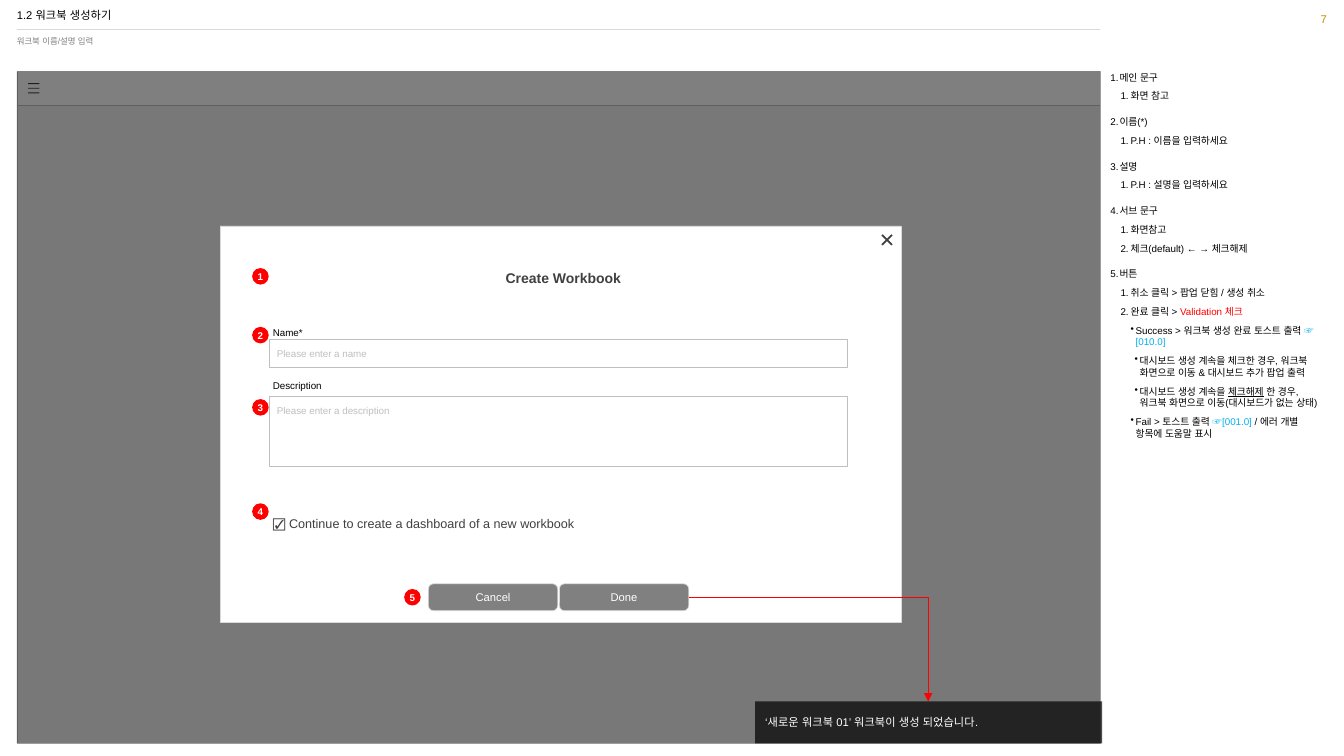
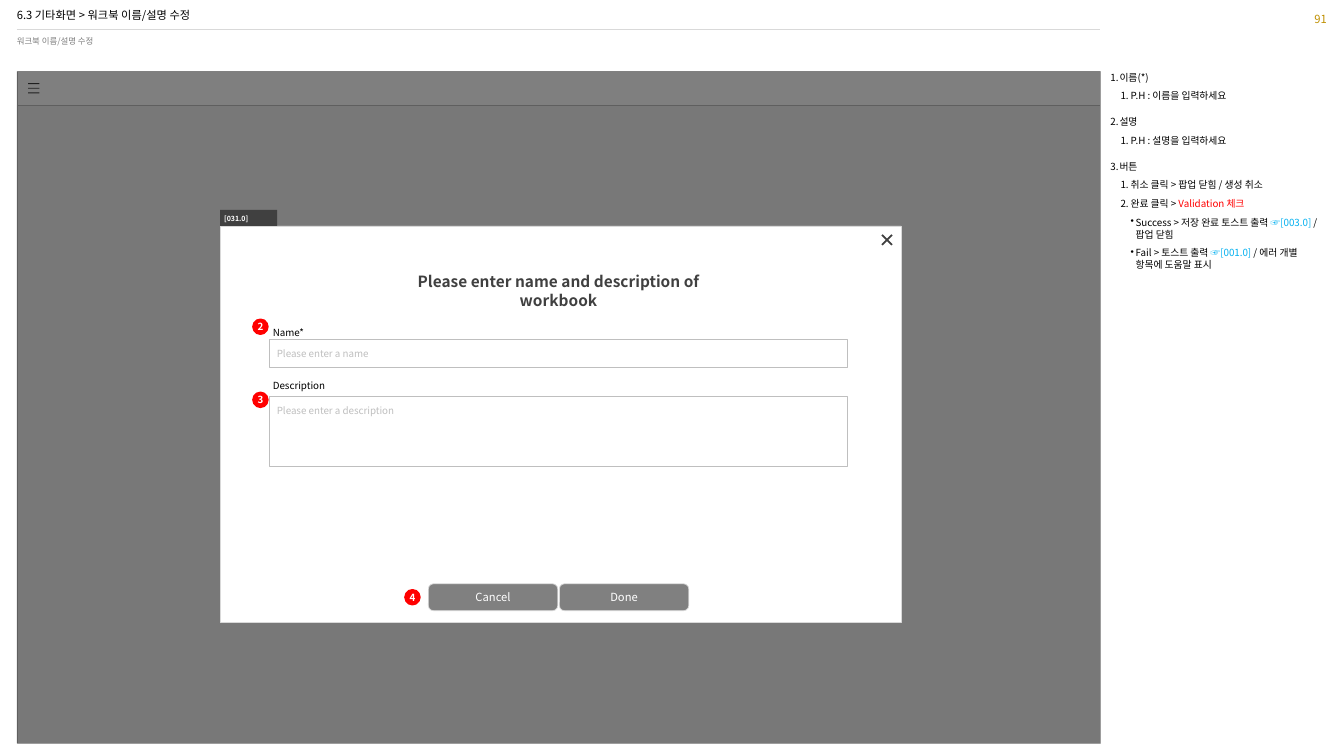
import pptx
import pptx.util
import pptx.dml.color
import pptx.enum.shapes
import pptx.enum.text
import pptx.oxml.ns
import lxml.etree

COLS, ROWS = 160, 90
WIDE, HIGH = pptx.util.Inches(13.33), pptx.util.Inches(7.5)
KIND = pptx.enum.shapes.MSO_SHAPE
SIDE = pptx.enum.text.PP_ALIGN
HOLD = pptx.enum.text.MSO_ANCHOR
HUE = {
    "black": "000000", "white": "FFFFFF", "dark": "404040", "gray": "808080",
    "edge": "BFBFBF", "rule": "D9D9D9", "page": "F2F2F2", "red": "FF0000",
    "blue": "00B0F0", "gold": "BF9000",
}
MID = {"vertical_anchor": HOLD.MIDDLE}
CENTER = {"alignment": SIDE.CENTER}
LOOSE = {"line_spacing": 1.5}
TIGHT = {"line_spacing": 0.9, "alignment": SIDE.LEFT}
LEVELS = [(0.09, -0.09, 10), (0.2, -0.1, 5), (0.25, -0.05, 5), (0.29, -0.05, 5)]
FIELD_X, FIELD_W = 32, 68.9
BADGE_X = 30.1

FAIL = (2, ["Fail > 토스트 출력 ", ("☞[001.0] ", "blue"), "/ 에러 개별 항목에 도움말 표시"])
NAME = [(0, ["이름(*)"]), (1, ["P.H : 이름을 입력하세요"])]
ABOUT = [(0, ["설명"]), (1, ["P.H : 설명을 입력하세요"])]
BUTTONS = [
    (0, ["버튼"]),
    (1, ["취소 클릭 > 팝업 닫힘 / 생성 취소"]),
    (1, ["완료 클릭 > ", ("Validation 체크", "red")]),
]
MAKE = [
    (0, ["메인 문구"]), (1, ["화면 참고"]),
    *NAME, *ABOUT,
    (0, ["서브 문구"]), (1, ["화면참고"]), (1, ["체크(default) ← → 체크해제"]),
    *BUTTONS,
    (2, ["Success > 워크북 생성 완료 토스트 출력 ", ("☞[010.0]", "blue")]),
    (3, ["대시보드 생성 계속을 체크한 경우, 워크북 화면으로 이동 & 대시보드 추가 팝업 출력"]),
    (3, ["대시보드 생성 계속을 ", ("체크해제", "black", {"underline": True}),
         " 한 경우, 워크북 화면으로 이동(대시보드가 없는 상태)"]),
    FAIL,
]
EDIT = [
    *NAME, *ABOUT, *BUTTONS,
    (2, ["Success > 저장 완료 토스트 출력 ", ("☞[003.0]", "blue"), " / 팝업 닫힘"]),
    FAIL,
]


def col(n):
    return round(WIDE * n / COLS)


def row(n):
    return round(HIGH * n / ROWS)


def rect(x, y, w, h):
    return col(x), row(y), col(w), row(h)


def put(item, form):
    for key, value in form.items():
        setattr(item, key, value)


def rgb(name):
    return pptx.dml.color.RGBColor.from_string(HUE[name])


def node(home, tag, **attrs):
    return lxml.etree.SubElement(home, pptx.oxml.ns.qn(tag), attrs)


def paint(shape, fill, line=None, thick=0.25, alpha=None):
    shape.shadow.inherit = False
    shape.fill.solid()
    shape.fill.fore_color.rgb = rgb(fill)
    if alpha:
        tone = shape._element.spPr.find(".//" + pptx.oxml.ns.qn("a:srgbClr"))
        node(tone, "a:alpha", val=str(alpha * 1000))
    if line:
        shape.line.color.rgb = rgb(line)
        shape.line.width = pptx.util.Pt(thick)
    else:
        shape.line.fill.background()


class Page:
    def __init__(self, deck, face):
        self.face = face
        self.slide = deck.slides.add_slide(deck.slide_layouts[3])
        self.shapes = self.slide.shapes

    def block(self, place, fill, kind=KIND.RECTANGLE, adjust=None, **look):
        shape = self.shapes.add_shape(kind, *rect(*place))
        paint(shape, fill, **look)
        if adjust is not None:
            shape.adjustments[0] = adjust
        return shape

    def span(self, para, text, size, hue, form=None):
        run = para.add_run()
        run.text = text
        put(run.font, {"size": pptx.util.Pt(size), "name": self.face, **(form or {})})
        run.font.color.rgb = rgb(hue)
        node(run._r.get_or_add_rPr(), "a:ea", typeface=self.face)

    def frame(self, shape, pad=(0, 0, 0, 0), form=None):
        frame = shape.text_frame
        sides = ("margin_left", "margin_top", "margin_right", "margin_bottom")
        put(frame, {"word_wrap": True, "auto_size": pptx.enum.text.MSO_AUTO_SIZE.NONE,
                    "vertical_anchor": HOLD.TOP, **(form or {}),
                    **{side: col(n) for side, n in zip(sides, pad)}})
        return frame

    def letter(self, shape, text, size, hue, pad=(0, 0, 0, 0), hold=None, para=None, bold=False):
        first = self.frame(shape, pad, hold).paragraphs[0]
        put(first, {"alignment": SIDE.LEFT, **(para or {})})
        self.span(first, text, size, hue, {"bold": bold})
        return first

    def label(self, place, *args, **form):
        self.letter(self.shapes.add_textbox(*rect(*place)), *args, **form)

    def holder(self, index, place):
        shape = self.slide.placeholders[index]
        put(shape, dict(zip(("left", "top", "width", "height"), rect(*place))))
        return shape

    def head(self, title, sub, number):
        self.letter(self.holder(0, (2, 0.36, 129, 3)), title, 8, "black", hold=MID, para=TIGHT)
        para = self.letter(self.holder(1, (2, 3.5, 129, 3.4)), sub, 6, "gray",
                           pad=(0, 0.96, 0, 0), para={**TIGHT, "space_before": 0})
        prop = para._p.get_or_add_pPr()
        put(prop, {"marL": 0, "indent": 0})
        node(prop, "a:buNone")
        self.label((152.2, 0, 5.76, 3.5), number, 8, "gold", pad=(0, 0, 0, 0.48),
                   hold={"vertical_anchor": HOLD.BOTTOM}, para={"alignment": SIDE.RIGHT})

    def notes(self, items):
        frame = self.frame(self.holder(2, (132.2, 8.5, 25.7, 81.5)))
        for spot, (level, runs) in enumerate(items):
            para = frame.add_paragraph() if spot else frame.paragraphs[0]
            left, hang, gap = LEVELS[level]
            prop = para._p.get_or_add_pPr()
            prop.set("marL", str(pptx.util.Inches(left)))
            prop.set("indent", str(pptx.util.Inches(hang)))
            node(prop, "a:buFontTx")
            if level < 2:
                node(prop, "a:buAutoNum", type="arabicPeriod")
            else:
                node(prop, "a:buChar", char="•")
            put(para, {"level": level, "space_before": pptx.util.Pt(gap if spot else 0)})
            for part in runs:
                text, *look = (part, "black") if isinstance(part, str) else part
                self.span(para, text, 7, *look)

    def wire(self, kind, start, end, hue, thick):
        line = self.shapes.add_connector(kind, col(start[0]), row(start[1]), col(end[0]), row(end[1]))
        line.line.color.rgb = rgb(hue)
        line.line.width = pptx.util.Pt(thick)
        node(line._element.spPr, "a:effectLst")
        return line

    def screen(self):
        self.block((2, 8.5, 129, 4), "white", line="edge")
        for step in range(3):
            self.block((3.36, 9.9 + step * 0.55, 1.32, 0.12), "dark")
        self.block((2, 12.5, 129, 76), "page", line="edge")
        self.block((2, 8.5, 129, 80), "black", alpha=50)
        self.wire(pptx.enum.shapes.MSO_CONNECTOR.STRAIGHT, (2, 3.5), (131, 3.5), "rule", 0.25)
        self.block((26.2, 26.9, 81.1, 47.2), "white", line="rule")
        cross = self.block((104.76, 27.72, 1.68, 1.68), "dark", KIND.CROSS, 0.44)
        cross.rotation = 45

    def form(self):
        for y, high, hint, top, hold in (
            (40.4, 3.3, "Please enter a name", 0, MID),
            (47.2, 8.3, "Please enter a description", 0.96, None),
        ):
            box = self.block((FIELD_X, y, FIELD_W, high), "white", line="edge")
            self.letter(box, hint, 7, "edge", pad=(0.96, top, 1.2, top), hold=hold)
        for step, name in enumerate(("Name*", "Description")):
            self.label((FIELD_X, 38.2 + step * 6.3, 10.4, 2.4), name, 7, "black",
                       pad=(0.48, 0, 0, 0), para=LOOSE)
        for step, name in enumerate(("Cancel", "Done")):
            button = self.block((51 + step * 15.6, 69.5, 15.4, 3.2), "gray",
                                KIND.ROUNDED_RECTANGLE, 0.19, line="rule", thick=0.5)
            self.letter(button, name, 8, "white", hold=MID, para=CENTER)

    def badges(self, spots):
        for text, x, y in spots:
            dot = self.block((x, y, 1.8, 1.8), "red", KIND.OVAL, line="red", thick=1)
            self.letter(dot, text, 7, "white", hold=MID, para=CENTER, bold=True)

    def toast(self, text):
        box = self.block((89.9, 83.5, 41.3, 5), "black", alpha=70)
        self.letter(box, text, 8, "white", pad=(1.2, 0.6, 1.2, 0.6), hold=MID)
        arrow = self.wire(pptx.enum.shapes.MSO_CONNECTOR.ELBOW, (82, 71.1), (110.5, 83.5), "red", 0.5)
        shape = arrow._element.spPr
        shape.find(pptx.oxml.ns.qn("a:prstGeom")).set("prst", "bentConnector2")
        node(shape.find(pptx.oxml.ns.qn("a:ln")), "a:tailEnd", type="triangle")


def start(deck, face, title, sub, number, items):
    page = Page(deck, face)
    page.head(title, sub, number)
    page.notes(items)
    page.screen()
    page.form()
    return page


def main():
    deck = pptx.Presentation()
    put(deck, {"slide_width": WIDE, "slide_height": HIGH})

    page = start(deck, "Arial", "1.2 워크북 생성하기", "워크북 이름/설명 입력", "7", MAKE)
    pad = (2.4, 1.92, 1.2, 0.6)
    page.label((FIELD_X, 29.2, FIELD_W, 10.6), "Create Workbook", 10, "dark",
               pad=pad, para={**LOOSE, **CENTER}, bold=True)
    page.label((BADGE_X, 58.6, FIELD_W, 8.3),
               "☑ Continue to create a dashboard of a new workbook", 9, "dark", pad=pad, para=LOOSE)
    page.badges([("1", BADGE_X, 32), ("2", BADGE_X, 39), ("3", BADGE_X, 47.6),
                 ("4", BADGE_X, 60), ("5", 48.2, 70.2)])
    page.toast("‘새로운 워크북 01’ 워크북이 생성 되었습니다.")

    page = start(deck, "Noto Sans CJK KR", "6.3 기타화면 > 워크북 이름/설명 수정",
                 "워크북 이름/설명 수정", "91", EDIT)
    page.label((46.1, 32.4, 40.8, 4.6), "Please enter name and description of workbook",
               11, "dark", para=CENTER, bold=True)
    page.badges([("2", BADGE_X, 38), ("3", BADGE_X, 46.7), ("4", 48.2, 70.2)])
    tag = page.block((26.2, 25, 6.8, 1.9), "dark")
    page.letter(tag, "[031.0]", 5, "white", pad=(0.48,) * 4, bold=True)

    deck.save("out.pptx")


if __name__ == "__main__":
    main()
